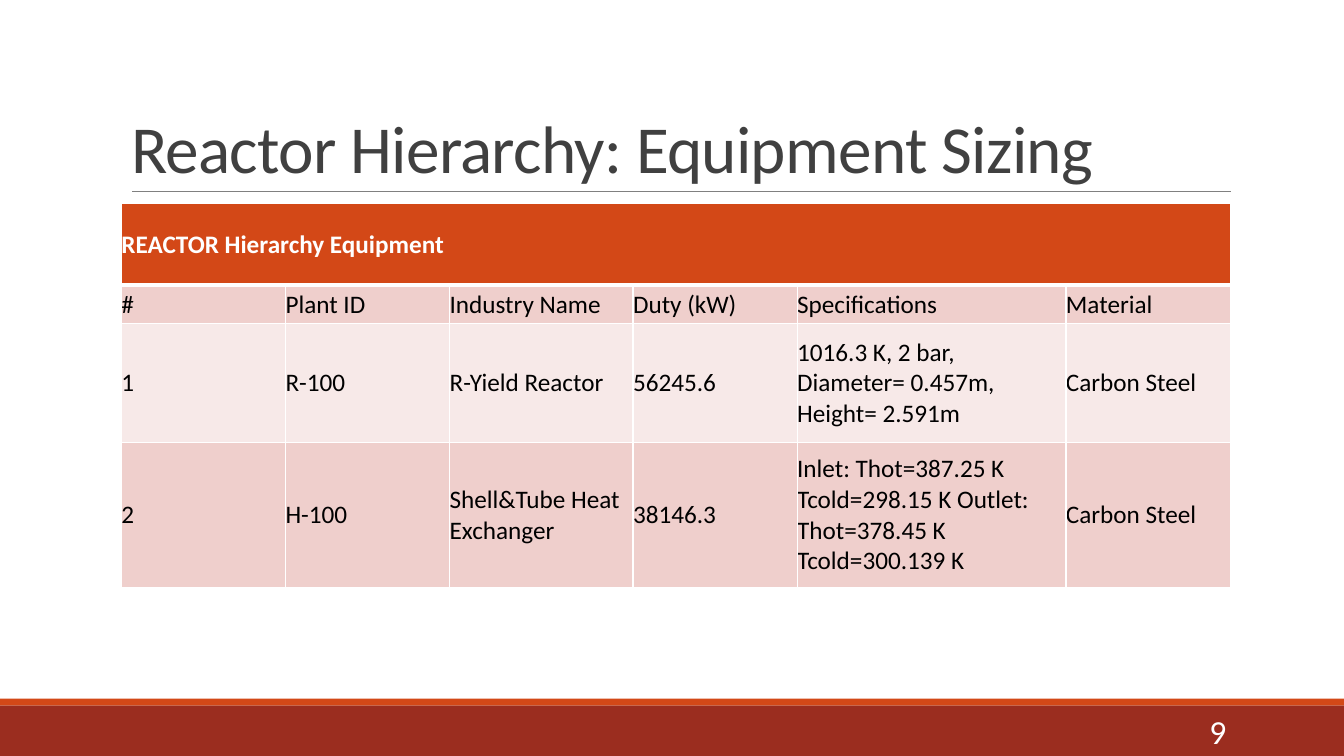
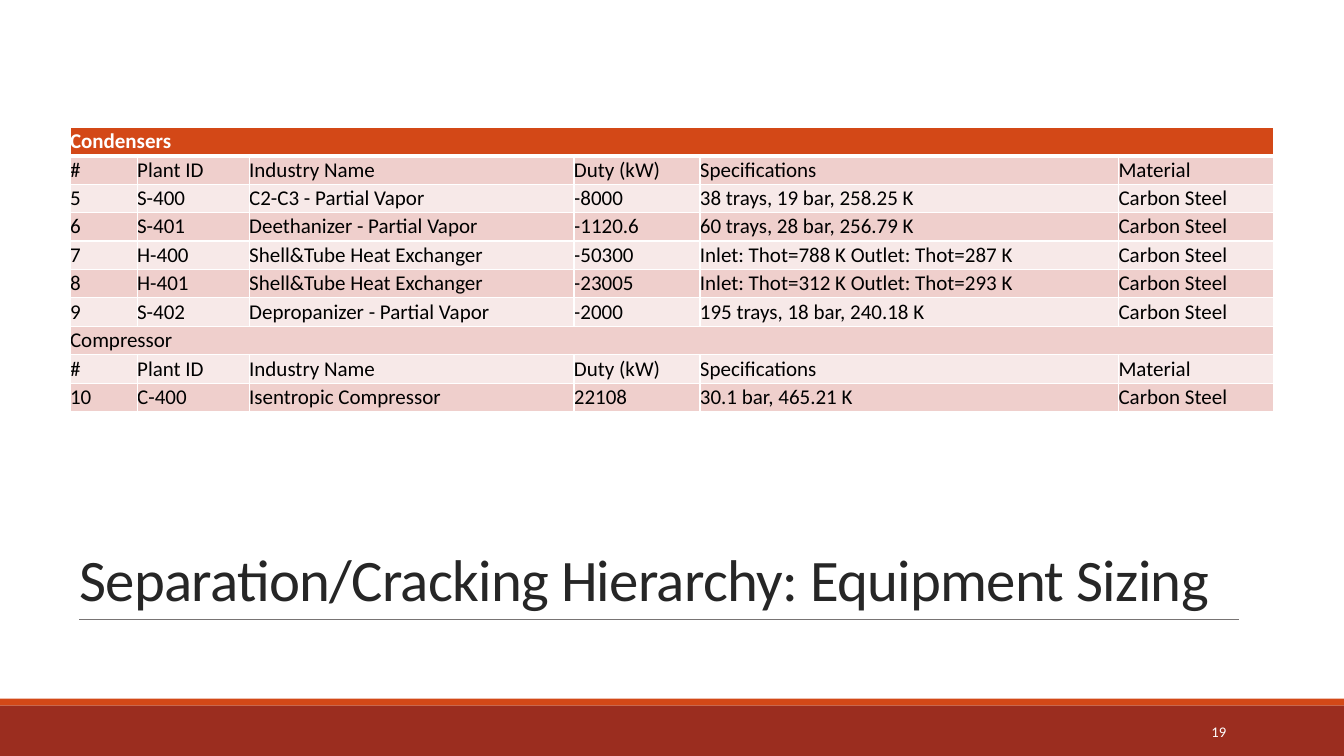
import pptx
import pptx.dml.color
import pptx.enum.shapes
import pptx.enum.text
import pptx.oxml
import pptx.oxml.ns
import pptx.util

Pt = pptx.util.Pt
RGBColor = pptx.dml.color.RGBColor
MSO_ANCHOR = pptx.enum.text.MSO_ANCHOR
PP_ALIGN = pptx.enum.text.PP_ALIGN

WHITE = RGBColor(0xFF, 0xFF, 0xFF)
BLACK = RGBColor(0x00, 0x00, 0x00)
ORANGE = RGBColor(0xD3, 0x48, 0x17)
BRICK = RGBColor(0x9B, 0x2D, 0x1F)
ROSE = RGBColor(0xEF, 0xCF, 0xCC)
PALE_ROSE = RGBColor(0xF7, 0xE9, 0xE8)
CHARCOAL = RGBColor(0x40, 0x40, 0x40)
NEAR_BLACK = RGBColor(0x26, 0x26, 0x26)
GRAY = RGBColor(0x80, 0x80, 0x80)
WARM_GRAY = RGBColor(0x78, 0x74, 0x74)

FONT = "Calibri"
SLIDE_W, SLIDE_H = 960, 540
BANDS = [(499, 5, ORANGE), (504, 36, BRICK)]  # top, height, colour

NO_INSETS = {"margin_left": 0, "margin_right": 0, "margin_top": 0,
             "margin_bottom": 0, "vertical_anchor": MSO_ANCHOR.MIDDLE}
TITLE_FRAME = {"word_wrap": True, "vertical_anchor": MSO_ANCHOR.BOTTOM,
               "auto_size": pptx.enum.text.MSO_AUTO_SIZE.NONE}
TITLE_PARAGRAPH = {"alignment": PP_ALIGN.LEFT, "line_spacing": 0.85}

HEADINGS = ["#", "Plant ID", "Industry Name", "Duty (kW)",
            "Specifications", "Material"]
STEEL = "Carbon Steel"
EXCHANGER = "Shell&Tube Heat Exchanger"

REACTOR_ROWS = [
    ["REACTOR Hierarchy Equipment"],
    HEADINGS,
    ["1", "R-100", "R-Yield Reactor", "56245.6",
     "1016.3 K, 2 bar, Diameter= 0.457m, Height= 2.591m", STEEL],
    ["2", "H-100", EXCHANGER, "38146.3",
     "Inlet: Thot=387.25 K Tcold=298.15 K Outlet: Thot=378.45 K "
     "Tcold=300.139 K", STEEL],
]
SEPARATION_ROWS = [
    ["Condensers"],
    HEADINGS,
    ["5", "S-400", "C2-C3 - Partial Vapor", "-8000",
     "38 trays, 19 bar, 258.25 K", STEEL],
    ["6", "S-401", "Deethanizer - Partial Vapor", "-1120.6",
     "60 trays, 28 bar, 256.79 K", STEEL],
    ["7", "H-400", EXCHANGER, "-50300",
     "Inlet: Thot=788 K Outlet: Thot=287 K", STEEL],
    ["8", "H-401", EXCHANGER, "-23005",
     "Inlet: Thot=312 K Outlet: Thot=293 K", STEEL],
    ["9", "S-402", "Depropanizer - Partial Vapor", "-2000",
     "195 trays, 18 bar, 240.18 K", STEEL],
    ["Compressor"],
    HEADINGS,
    ["10", "C-400", "Isentropic Compressor", "22108",
     "30.1 bar, 465.21 K", STEEL],
]


def set_all(obj, values):
    for name, value in values.items():
        setattr(obj, name, value)


def add_run(p, text, size, color, bold=False):
    r = p.add_run()
    r.text = text
    set_all(r.font, {"name": FONT, "size": Pt(size), "bold": bold})
    r.font.color.rgb = color
    return r


def add_bands(s):
    for top, height, color in BANDS:
        sp = s.shapes.add_shape(pptx.enum.shapes.MSO_SHAPE.RECTANGLE,
                                0, Pt(top), Pt(SLIDE_W), Pt(height))
        sp.shadow.inherit = False
        sp.fill.solid()
        sp.fill.fore_color.rgb = color
        sp.line.fill.background()


def set_title(s, text, box, size, color):
    sp = s.shapes.title
    set_all(sp, dict(zip(("left", "top", "width", "height"), map(Pt, box))))
    set_all(sp.text_frame, TITLE_FRAME)
    p = sp.text_frame.paragraphs[0]
    set_all(p, TITLE_PARAGRAPH)
    r = add_run(p, text, size, color)
    r._r.get_or_add_rPr().set("spc", "-50")


def add_rule(s, left, right, y, color):
    line = s.shapes.add_connector(pptx.enum.shapes.MSO_CONNECTOR.STRAIGHT,
                                  Pt(left), Pt(y), Pt(right), Pt(y))
    line.line.width = Pt(0.5)
    line.line.color.rgb = color
    line._element.spPr.append(pptx.oxml.parse_xml(
        f'<a:effectLst {pptx.oxml.ns.nsdecls("a")}/>'))


def add_page_number(s, number, size):
    tf = s.shapes.add_textbox(Pt(780), Pt(508), Pt(103), Pt(29)).text_frame
    set_all(tf, {"word_wrap": True, "vertical_anchor": MSO_ANCHOR.MIDDLE})
    p = tf.paragraphs[0]
    p.alignment = PP_ALIGN.RIGHT
    add_run(p, number, size, WHITE)


def set_borders(cell, row):
    """Draw white borders, thicker between the first two rows."""
    widths = {"lnL": 1, "lnR": 1, "lnT": 3 if row == 1 else 1,
              "lnB": 3 if row == 0 else 1}
    tcPr = cell._tc.get_or_add_tcPr()
    for i, (tag, width) in enumerate(widths.items()):
        tcPr.insert(i, pptx.oxml.parse_xml(
            f'<a:{tag} {pptx.oxml.ns.nsdecls("a")} w="{Pt(width)}">'
            f'<a:solidFill><a:srgbClr val="{WHITE}"/></a:solidFill>'
            f'</a:{tag}>'))


def add_equipment_table(s, rows, left, top, widths, heights, size):
    """Add a banded table; a row with a single entry spans all columns."""
    table = s.shapes.add_table(len(rows), len(widths), Pt(left), Pt(top),
                               Pt(sum(widths)), Pt(sum(heights))).table
    table.horz_banding = False
    for column, width in zip(table.columns, widths):
        column.width = Pt(width)
    for i, (texts, height) in enumerate(zip(rows, heights)):
        table.rows[i].height = Pt(height)
        cells = list(table.rows[i].cells)
        if len(texts) == 1:
            cells[0].merge(cells[-1])
        header = i == 0
        for cell in cells:
            set_all(cell, NO_INSETS)
            cell.fill.solid()
            cell.fill.fore_color.rgb = (
                ORANGE if header else ROSE if i % 2 else PALE_ROSE)
            set_borders(cell, i)
        for cell, text in zip(cells, texts):
            add_run(cell.text_frame.paragraphs[0], text, size,
                    WHITE if header else BLACK, header)


def add_slide(prs):
    s = prs.slides.add_slide(prs.slide_layouts[5])
    add_bands(s)
    return s


def add_reactor_slide(prs):
    s = add_slide(prs)
    set_title(s, "Reactor Hierarchy: Equipment Sizing",
              (86.4, 22.5, 792, 114.5), 48, CHARCOAL)
    add_rule(s, 94.5, 879, 136.8, GRAY)
    add_page_number(s, "9", 24)
    add_equipment_table(s, REACTOR_ROWS, 86.7, 145.5,
                        [117.25, 117.25, 131, 117.25, 192, 117.25],
                        [58.3, 27.4, 85, 103.7], 18)


def add_separation_slide(prs):
    s = add_slide(prs)
    set_title(s, "Separation/Cracking Hierarchy: Equipment Sizing",
              (49.5, 358.5, 859, 83.5), 42, NEAR_BLACK)
    add_rule(s, 56.7, 885, 442.2, WARM_GRAY)
    add_page_number(s, "19", 10.5)
    add_equipment_table(s, SEPARATION_ROWS, 50, 91,
                        [48, 80, 232, 90, 299, 110.5],
                        [20.3] * len(SEPARATION_ROWS), 15)


def main():
    prs = pptx.Presentation()
    set_all(prs, {"slide_width": Pt(SLIDE_W), "slide_height": Pt(SLIDE_H)})
    add_reactor_slide(prs)
    add_separation_slide(prs)
    prs.save("out.pptx")


if __name__ == "__main__":
    main()
